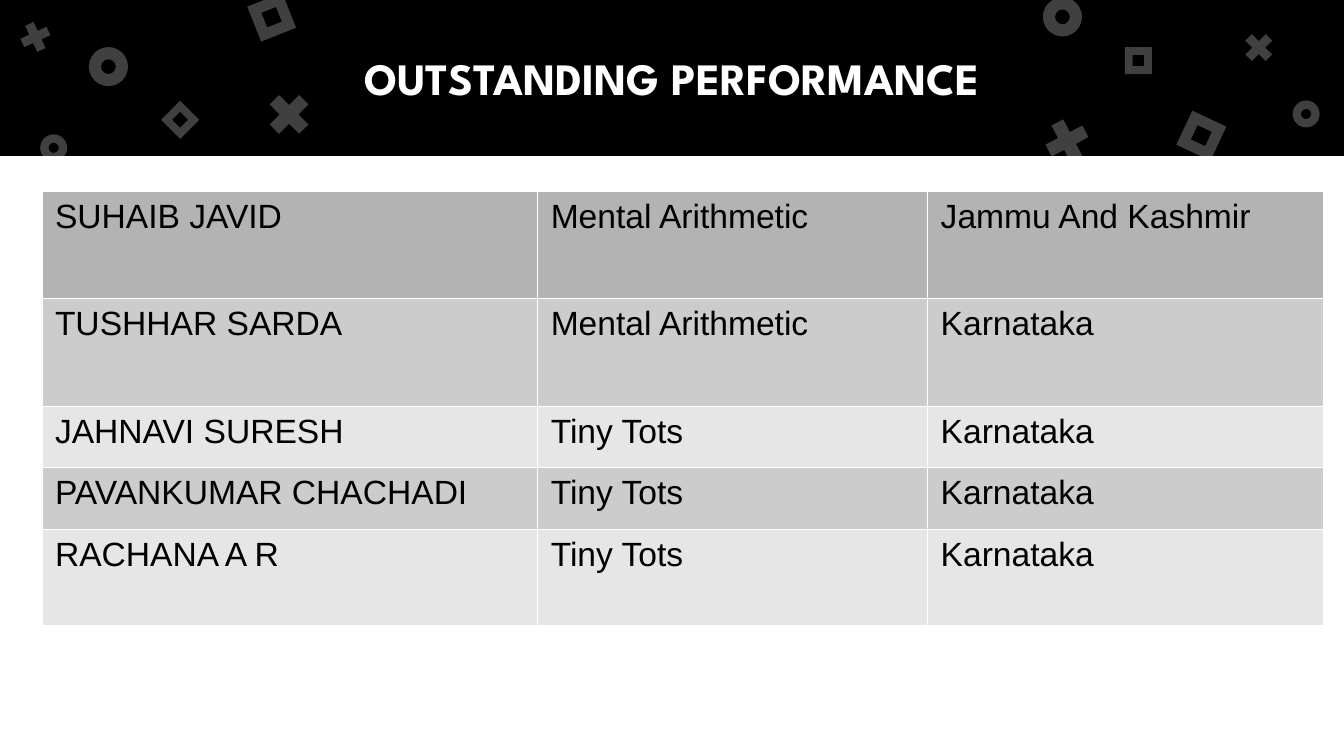
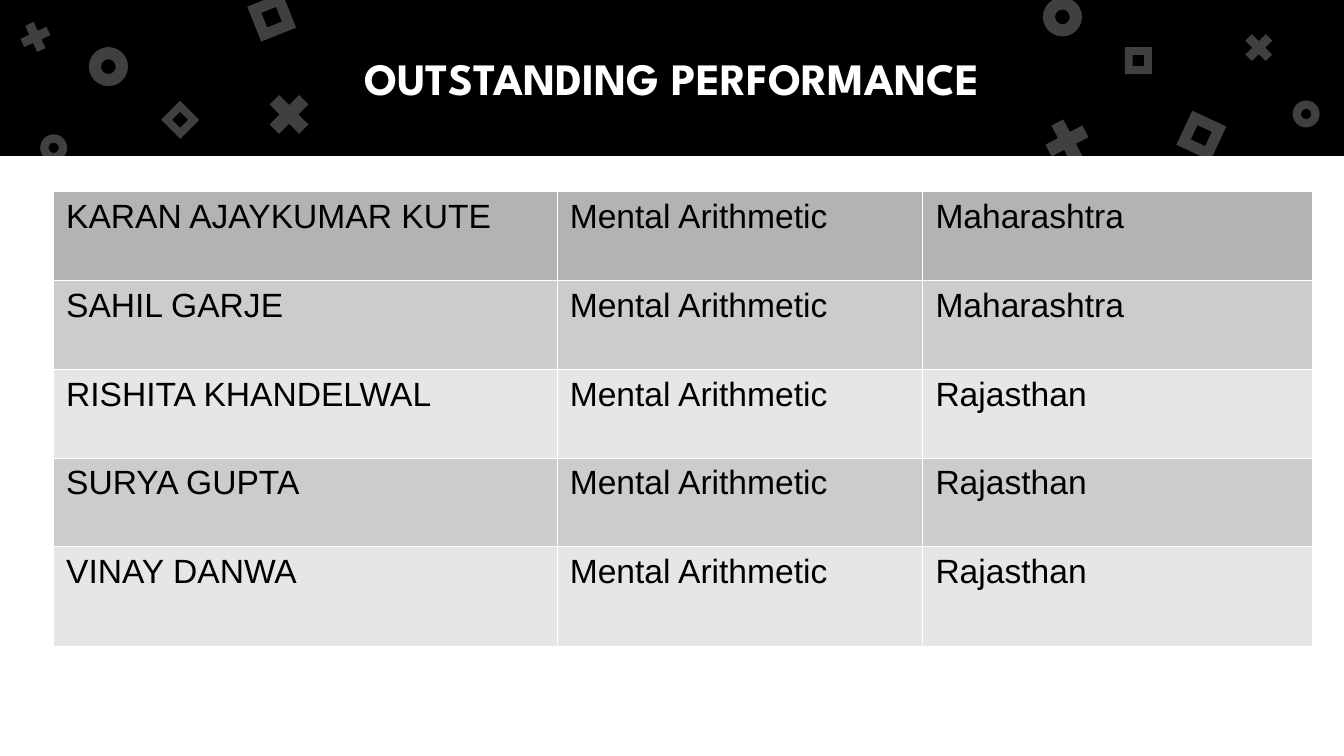
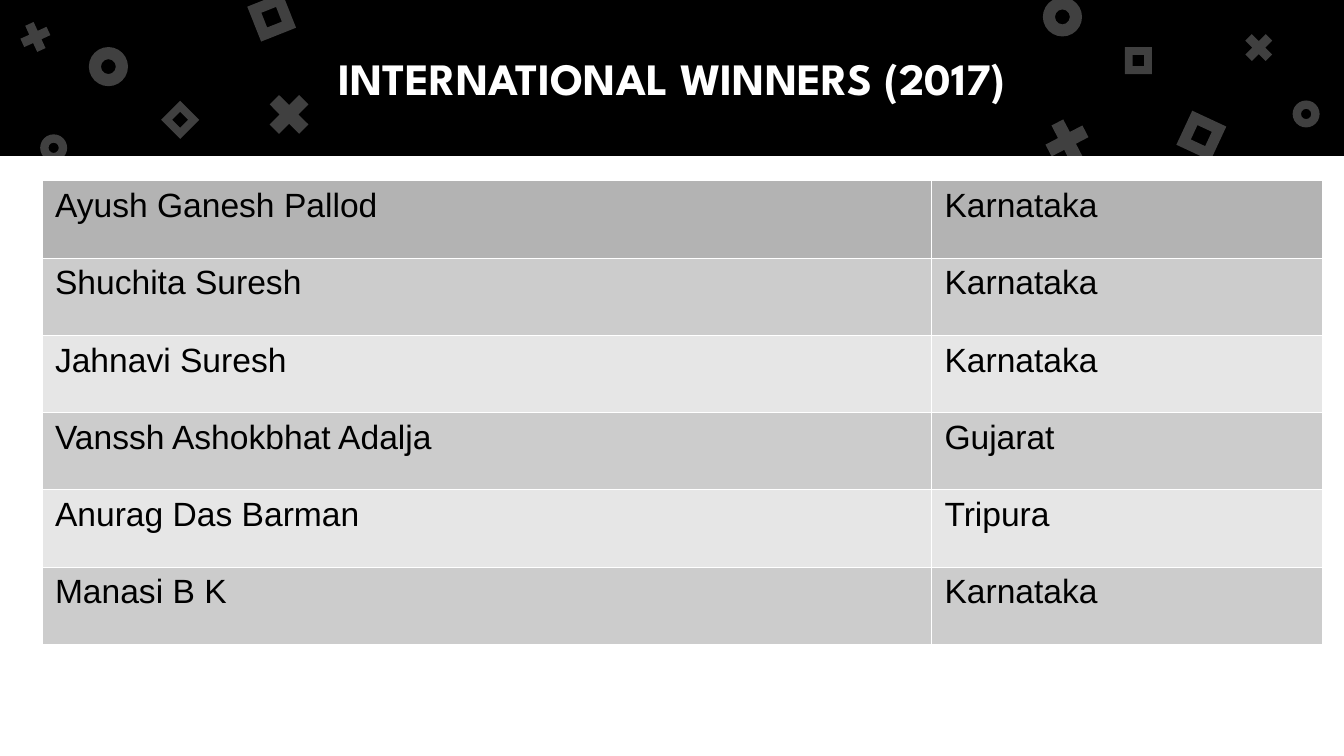
from lxml import etree
from pptx import Presentation
from pptx.dml.color import RGBColor
from pptx.enum import shapes, text
from pptx.oxml import ns
from pptx.util import Cm, Pt

BLACK = RGBColor(0x00, 0x00, 0x00)
WHITE = RGBColor(0xFF, 0xFF, 0xFF)
GREEN = RGBColor(0x7B, 0xD1, 0x00)
HEAD = RGBColor(0xB3, 0xB3, 0xB3)
BANDS = RGBColor(0xE6, 0xE6, 0xE6), RGBColor(0xCC, 0xCC, 0xCC)

WIDTH, HEIGHT, BAND = 25.4, 14.29, 2.95
RECT = shapes.MSO_SHAPE.RECTANGLE
RING = shapes.MSO_SHAPE.DONUT
CROSS = shapes.MSO_SHAPE.MATH_MULTIPLY
FRAME = shapes.MSO_SHAPE.FRAME
ADJUST = {RING: 0.31, FRAME: 0.29}

# kind, left, top, size, turn
MARKS = [
    (RING, 1.68, 0.89, 0.74, 0),
    (CROSS, 4.93, 1.63, 1.07, 0),
    (FRAME, 4.78, -0.03, 0.71, 338.4),
    (RING, 19.71, -0.05, 0.74, 0),
    (CROSS, 19.63, 2.13, 1.07, 17.5),
    (FRAME, 22.35, 2.21, 0.71, 25),
    (RING, 0.76, 2.54, 0.51, 0),
    (CROSS, 0.3, 0.33, 0.74, 20.4),
    (FRAME, 3.15, 2.01, 0.51, 45),
    (RING, 24.43, 1.9, 0.51, 0),
    (CROSS, 23.42, 0.53, 0.74, 0),
    (FRAME, 21.26, 0.89, 0.51, 0),
]

# title, table corner, column widths, row heights, rows
PAGES = [
    ("OUTSTANDING PERFORMANCE", (0.79, 3.61),
     [9.37, 7.37, 7.47], [2.03, 2.03, 1.17, 1.17, 1.8], [
         ("SUHAIB JAVID", "Mental Arithmetic", "Jammu And Kashmir"),
         ("TUSHHAR SARDA", "Mental Arithmetic", "Karnataka"),
         ("JAHNAVI SURESH", "Tiny Tots", "Karnataka"),
         ("PAVANKUMAR CHACHADI", "Tiny Tots", "Karnataka"),
         ("RACHANA A R", "Tiny Tots", "Karnataka")]),
    ("OUTSTANDING PERFORMANCE", (1, 3.61),
     [9.52, 6.91, 7.37], [1.68] * 4 + [1.88], [
         ("KARAN AJAYKUMAR KUTE", "Mental Arithmetic", "Maharashtra"),
         ("SAHIL GARJE", "Mental Arithmetic", "Maharashtra"),
         ("RISHITA KHANDELWAL", "Mental Arithmetic", "Rajasthan"),
         ("SURYA GUPTA", "Mental Arithmetic", "Rajasthan"),
         ("VINAY DANWA", "Mental Arithmetic", "Rajasthan")]),
    ("INTERNATIONAL WINNERS (2017)", (0.79, 3.41),
     [16.81, 7.39], [1.46] * 6, [
         ("Ayush Ganesh Pallod", "Karnataka"),
         ("Shuchita Suresh", "Karnataka"),
         ("Jahnavi Suresh", "Karnataka"),
         ("Vanssh Ashokbhat Adalja", "Gujarat"),
         ("Anurag Das Barman", "Tripura"),
         ("Manasi B K", "Karnataka")]),
]


def add_run(para, words, font, size, color, bold=False):
    run = para.add_run()
    run.text = words
    run.font.name = font
    run.font.size = Pt(size)
    run.font.bold = bold
    run.font.color.rgb = color


def add_shape(slide, kind, box, color):
    shape = slide.shapes.add_shape(kind, *map(Cm, box))
    shape.shadow.inherit = False
    shape.line.fill.background()
    shape.fill.solid()
    shape.fill.fore_color.rgb = color
    return shape


def add_mark(slide, kind, left, top, size, turn):
    mark = add_shape(slide, kind, (left, top, size, size), WHITE)
    mark.rotation = turn
    if kind in ADJUST:
        mark.adjustments[0] = ADJUST[kind]
    color = mark.element.spPr.find(".//" + ns.qn("a:srgbClr"))
    etree.SubElement(color, ns.qn("a:alpha"), val="25000")
    return mark


def set_backdrop(layout, slide):
    """Draw the shared bands and marks, then hand them to the layout."""
    layout.background.fill.solid()
    layout.background.fill.fore_color.rgb = GREEN
    parts = [add_shape(slide, RECT, (0, 0, WIDTH, BAND), BLACK),
             add_shape(slide, RECT, (0, BAND, WIDTH, HEIGHT - BAND), WHITE)]
    parts += [add_mark(slide, *mark) for mark in MARKS]
    for part in parts:
        layout.shapes.element.append(part.element)


def set_title(slide, words, box):
    title = slide.shapes.title
    title.left, title.top, title.width, title.height = map(Cm, box)
    frame = title.text_frame
    frame.word_wrap = True
    frame.auto_size = text.MSO_AUTO_SIZE.NONE
    frame.vertical_anchor = text.MSO_ANCHOR.MIDDLE
    frame.margin_left = frame.margin_right = Cm(0.25)
    frame.margin_top = frame.margin_bottom = Cm(0.25)
    para = frame.paragraphs[0]
    para.alignment = text.PP_ALIGN.CENTER
    add_run(para, words, "League Spartan", 24, WHITE, True)


def set_cell(cell, words, color):
    props = cell._tc.get_or_add_tcPr()
    for side in "LRTB":
        line = etree.SubElement(props, ns.qn("a:ln" + side), w="762")
        fill = etree.SubElement(line, ns.qn("a:solidFill"))
        etree.SubElement(fill, ns.qn("a:srgbClr"), val=str(WHITE))
    cell.fill.solid()
    cell.fill.fore_color.rgb = color
    cell.margin_left = cell.margin_right = Cm(0.25)
    cell.margin_top = cell.margin_bottom = Cm(0.13)
    add_run(cell.text_frame.paragraphs[0], words, "Arial", 18, BLACK)


def add_list(slide, corner, widths, heights, rows):
    box = (*corner, sum(widths), sum(heights))
    table = slide.shapes.add_table(
        len(rows), len(widths), *map(Cm, box)).table
    table.first_row = table.horz_banding = False
    for col, width in zip(table.columns, widths):
        col.width = Cm(width)
    for i, (row, height) in enumerate(zip(table.rows, heights)):
        row.height = Cm(height)
        color = BANDS[i % 2] if i else HEAD
        for cell, words in zip(row.cells, rows[i]):
            set_cell(cell, words, color)


def main():
    deck = Presentation()
    deck.slide_width, deck.slide_height = Cm(WIDTH), Cm(HEIGHT)
    layout = deck.slide_layouts[5]
    for i, (title, *grid) in enumerate(PAGES):
        slide = deck.slides.add_slide(layout)
        if i == 0:
            set_backdrop(layout, slide)
        set_title(slide, title, (1.27, 0, 22.86, BAND))
        add_list(slide, *grid)
    deck.save("out.pptx")


if __name__ == "__main__":
    main()
